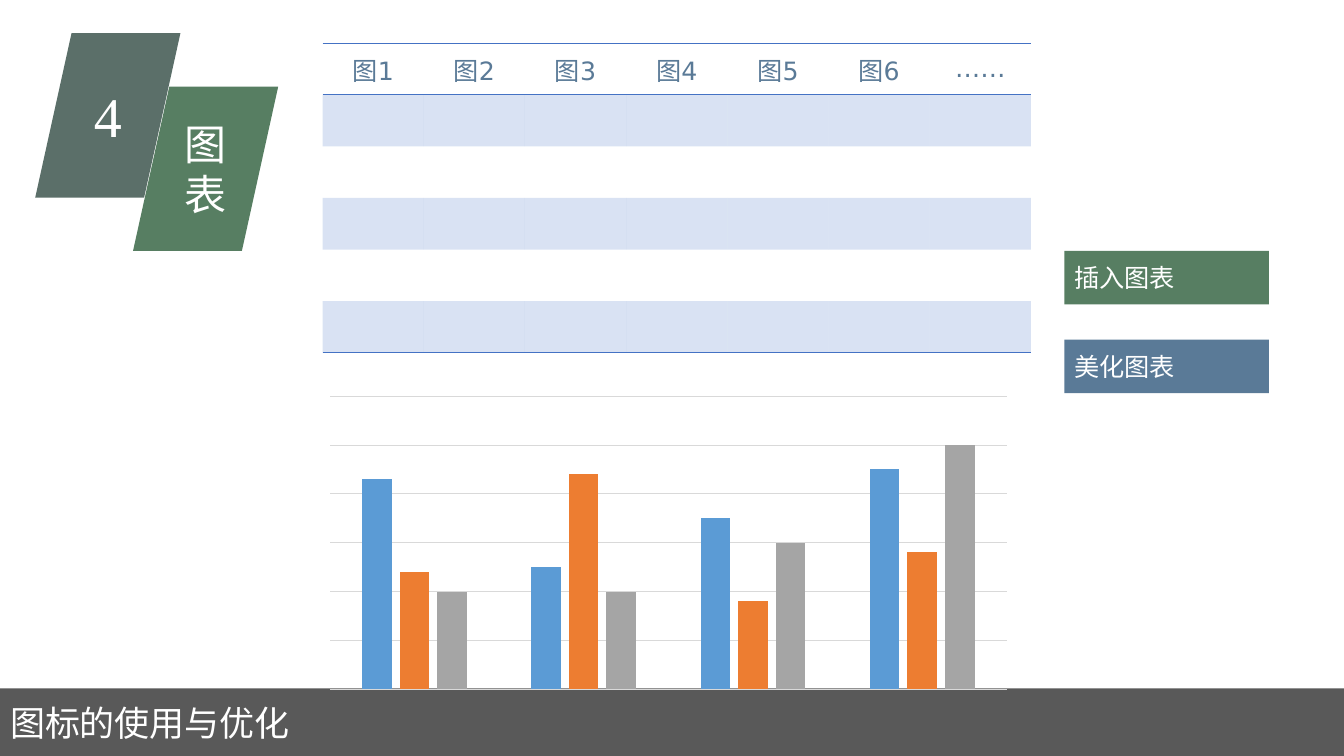
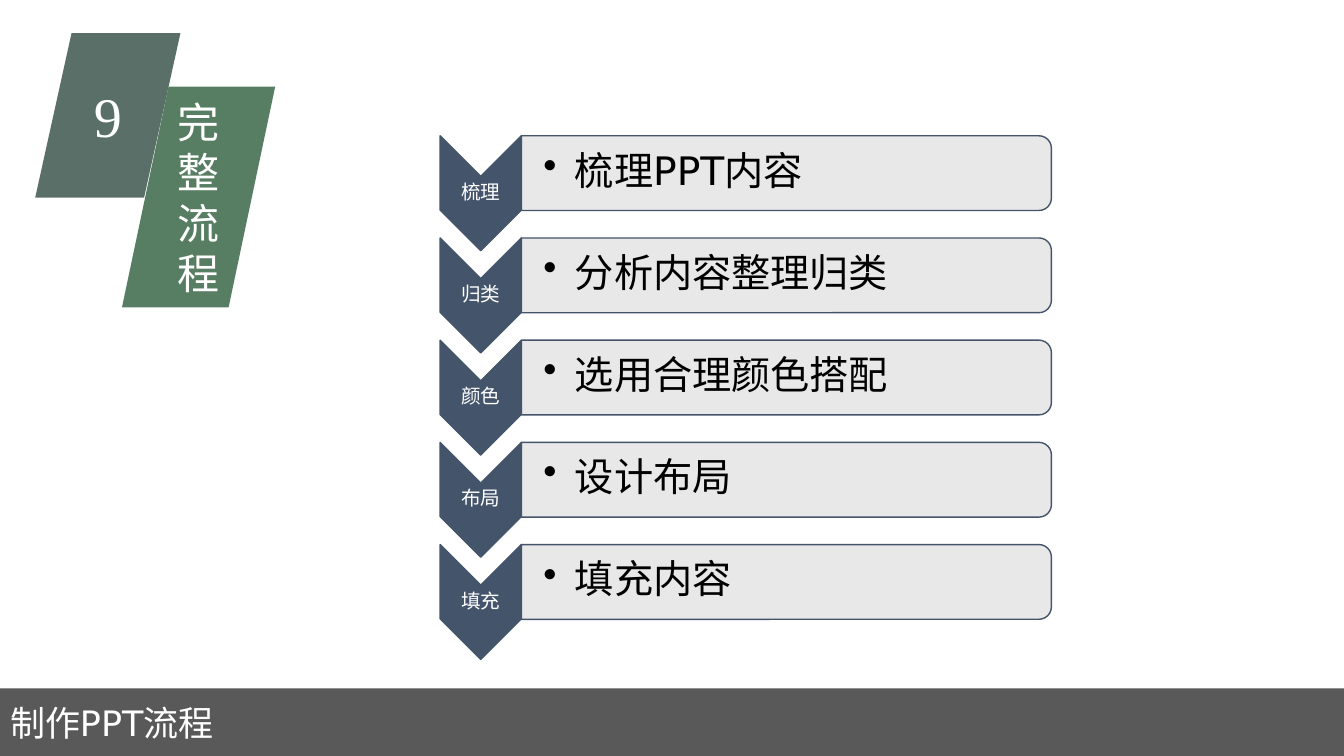
from dataclasses import dataclass
from typing import Any, NamedTuple

from lxml import etree
from pptx import Presentation
from pptx.chart.data import CategoryChartData
from pptx.dml.color import RGBColor
from pptx.enum.chart import XL_CHART_TYPE
from pptx.enum.shapes import MSO_SHAPE
from pptx.enum.text import MSO_ANCHOR, MSO_AUTO_SIZE, PP_ALIGN
from pptx.oxml import parse_xml
from pptx.oxml.ns import nsdecls, qn
from pptx.util import Pt

COLUMNS = XL_CHART_TYPE.COLUMN_CLUSTERED
PARALLELOGRAM = MSO_SHAPE.PARALLELOGRAM
RECTANGLE = MSO_SHAPE.RECTANGLE
CHEVRON = MSO_SHAPE.CHEVRON
ROUND_END = MSO_SHAPE.ROUND_2_SAME_RECTANGLE
MIDDLE = MSO_ANCHOR.MIDDLE
NO_FIT = MSO_AUTO_SIZE.NONE
LEFT, CENTER = PP_ALIGN.LEFT, PP_ALIGN.CENTER
TITLE_ONLY = 5
PLAIN_TABLE = "{2D5ABB26-0587-4C30-8999-92F81FD0307C}"


@dataclass(frozen=True)
class Theme:
    white: str = "FFFFFF"
    black: str = "000000"
    slate: str = "5B6F69"
    green: str = "577E62"
    blue: str = "5A7A97"
    band: str = "595959"
    navy: str = "44546A"
    panel: str = "E7E6E6"
    table: str = "4472C4"
    grid: str = "D9D9D9"
    series: tuple[str, ...] = ("5B9BD5", "ED7D31", "A5A5A5")
    sans: str = "DejaVu Sans"
    serif: str = "Times New Roman"
    number_size: float = 40
    section_size: float = 30
    step_size: float = 28
    title_size: float = 25
    body_size: float = 18
    label_size: float = 14
    chart_size: float = 10


class Box(NamedTuple):
    left: float
    top: float
    width: float
    height: float

    def lengths(self) -> list[Pt]:
        return [Pt(value) for value in self]

    def down(self, distance: float) -> "Box":
        return self._replace(top=self.top + distance)

    def before_quarter_turn(self) -> "Box":
        shift = (self.width - self.height) / 2
        return Box(self.left + shift, self.top - shift, self.height, self.width)


@dataclass(frozen=True)
class TextStyle:
    size: float
    color: str = "FFFFFF"
    font: str = "DejaVu Sans"
    align: Any = CENTER


@dataclass(frozen=True)
class Section:
    number: str
    name: str
    title: str
    name_box: Box
    slant: float


class Topic(NamedTuple):
    text: str
    color: str


class Step(NamedTuple):
    label: str
    action: str


THEME = Theme()
SLIDE_WIDTH, SLIDE_HEIGHT = 960, 540
BAND = Box(0, 491.76, SLIDE_WIDTH, 48.24)
NUMBER_BOX = Box(25.2, 23.76, 103.68, 117.36)

CHARTS = Section("4", "图表", "图标的使用与优化", Box(95.04, 61.92, 103.68, 117.36), 0.25)
PROCESS = Section("9", "完整流程", "制作PPT流程", Box(87.12, 61.92, 109.44, 157.68), 0.304)

TABLE_BOX = Box(230.4, 30.96, 506.16, 221.04)
TABLE_HEADS = ("图1", "图2", "图3", "图4", "图5", "图6", "……")
TABLE_ROWS = 6
CHART_BOX = Box(225.36, 278.64, 504, 218.16)
PLOT_SHARES = {"x": 0.02, "y": 0.02, "w": 0.96, "h": 0.96}
CHART_VALUES = ((86, 50, 70, 90), (48, 88, 36, 56), (40, 40, 60, 100))
TOPICS = (Topic("插入图表", THEME.green), Topic("美化图表", THEME.blue))
TOPIC_BOX = Box(760.32, 179.28, 146.16, 38.16)
TOPIC_PITCH = 63.36

STEPS = (
    Step("梳理", "梳理PPT内容"),
    Step("归类", "分析内容整理归类"),
    Step("颜色", "选用合理颜色搭配"),
    Step("布局", "设计布局"),
    Step("填充", "填充内容"),
)
STEP_PITCH = 73
ARROW_BOX = Box(314.4, 97, 58, 82)
PANEL_BOX = Box(372.4, 97, 378.6, 53.4)
LABEL_BOX = Box(314.4, 125.6, 58, 24.5)
ACTION_BOX = Box(372.4, 99, 376, 48.2)


def apply(target: Any, values: dict[str, Any]) -> None:
    for name, value in values.items():
        setattr(target, name, value)


def paint(target: Any, color: str, opacity: int = 100) -> None:
    target.fill.solid()
    target.fill.fore_color.rgb = RGBColor.from_string(color)
    if opacity < 100:
        tint = target.fill._xPr.find(qn("a:solidFill"))[0]
        etree.SubElement(tint, qn("a:alpha"), val=str(opacity * 1000))


def write(frame: Any, text: str, style: TextStyle) -> Any:
    paragraph = frame.paragraphs[0]
    paragraph.alignment = style.align
    run = paragraph.add_run()
    run.text = text
    apply(run.font, {"name": style.font, "size": Pt(style.size)})
    run.font.color.rgb = RGBColor.from_string(style.color)
    return paragraph


def add_block(slide: Any, kind: Any, box: Box, color: str,
              opacity: int = 100, outline: str | None = None) -> Any:
    block = slide.shapes.add_shape(kind, *box.lengths())
    block.shadow.inherit = False
    paint(block, color, opacity)
    if outline:
        block.line.color.rgb = RGBColor.from_string(outline)
        block.line.width = Pt(1)
    else:
        block.line.fill.background()
    apply(block.text_frame, {"word_wrap": True, "vertical_anchor": MIDDLE})
    return block


def add_caption(slide: Any, box: Box, text: str, style: TextStyle,
                margin: float, left_margin: float) -> Any:
    frame = slide.shapes.add_textbox(*box.lengths()).text_frame
    apply(frame, {
        "word_wrap": True,
        "vertical_anchor": MIDDLE,
        "margin_left": Pt(left_margin),
        "margin_top": Pt(margin),
        "margin_right": Pt(margin),
        "margin_bottom": Pt(margin),
    })
    paragraph = write(frame, text, style)
    paragraph.line_spacing = 0.9
    return paragraph


def add_section_slide(deck: Any, section: Section) -> Any:
    slide = deck.slides.add_slide(deck.slide_layouts[TITLE_ONLY])
    title = slide.shapes.title
    apply(title, dict(zip(BAND._fields, BAND.lengths())))
    paint(title, THEME.band)
    apply(title.text_frame, {
        "word_wrap": True, "auto_size": NO_FIT, "vertical_anchor": MIDDLE,
    })
    write(title.text_frame, section.title, TextStyle(THEME.title_size, align=LEFT))

    number = add_block(slide, PARALLELOGRAM, NUMBER_BOX, THEME.slate)
    write(number.text_frame, section.number,
          TextStyle(THEME.number_size, font=THEME.serif))
    name = add_block(slide, PARALLELOGRAM, section.name_box, THEME.green)
    name.adjustments[0] = section.slant
    write(name.text_frame, section.name, TextStyle(THEME.section_size))
    return slide


def add_rules(cell: Any, sides: tuple[str, ...]) -> None:
    for position, side in enumerate(sides):
        cell._tc.get_or_add_tcPr().insert(position, parse_xml(
            f'<a:ln{side} {nsdecls("a")} w="12700"><a:solidFill>'
            f'<a:srgbClr val="{THEME.table}"/></a:solidFill></a:ln{side}>'
        ))


def add_figure_table(slide: Any) -> None:
    table = slide.shapes.add_table(
        TABLE_ROWS, len(TABLE_HEADS), *TABLE_BOX.lengths()).table
    table._tbl.tblPr.find(qn("a:tableStyleId")).text = PLAIN_TABLE
    apply(table, {"first_row": False, "horz_banding": False})
    rules = {0: ("T", "B"), TABLE_ROWS - 1: ("B",)}
    for row in range(TABLE_ROWS):
        for column, head in enumerate(TABLE_HEADS):
            cell = table.cell(row, column)
            cell.vertical_anchor = MIDDLE
            if row % 2:
                paint(cell, THEME.table, 20)
            else:
                cell.fill.background()
            if row == 0:
                write(cell.text_frame, head, TextStyle(THEME.body_size, THEME.blue))
            add_rules(cell, rules.get(row, ()))


def add_figure_chart(slide: Any) -> None:
    data = CategoryChartData()
    data.categories = ("1", "2", "3", "4")
    for order, values in enumerate(CHART_VALUES, 1):
        data.add_series(f"Series {order}", values)
    chart = slide.shapes.add_chart(COLUMNS, *CHART_BOX.lengths(), data).chart
    apply(chart, {"has_legend": False, "has_title": False})
    apply(chart.font, {"name": THEME.sans, "size": Pt(THEME.chart_size)})
    chart.font.color.rgb = RGBColor.from_string(THEME.black)
    chart.category_axis.visible = False
    apply(chart.value_axis, {
        "visible": False, "has_major_gridlines": True,
        "minimum_scale": 0, "maximum_scale": 120, "major_unit": 20,
    })
    gridline = chart.value_axis.major_gridlines.format.line
    gridline.color.rgb = RGBColor.from_string(THEME.grid)
    gridline.width = Pt(0.75)
    plot = chart.plots[0]
    apply(plot, {"gap_width": 219, "overlap": -27, "vary_by_categories": False})
    for series, color in zip(plot.series, THEME.series):
        paint(series.format, color)

    shares = "".join(f'<c:{key} val="{share}"/>' for key, share in PLOT_SHARES.items())
    area = chart._chartSpace.chart.plotArea
    for layout in area.findall(qn("c:layout")):
        area.remove(layout)
    area.insert(0, parse_xml(
        f'<c:layout {nsdecls("c")}><c:manualLayout><c:layoutTarget val="inner"/>'
        f'<c:xMode val="edge"/><c:yMode val="edge"/>{shares}'
        '</c:manualLayout></c:layout>'
    ))


def add_step(slide: Any, step: Step, drop: float) -> None:
    for kind, box, color, opacity in (
        (CHEVRON, ARROW_BOX, THEME.navy, 100),
        (ROUND_END, PANEL_BOX, THEME.panel, 90),
    ):
        block = add_block(slide, kind, box.down(drop).before_quarter_turn(),
                          color, opacity, THEME.navy)
        block.rotation = 90
    add_caption(slide, LABEL_BOX.down(drop), step.label,
                TextStyle(THEME.label_size), 0.7, 0.7)
    action = add_caption(slide, ACTION_BOX.down(drop), step.action,
                         TextStyle(THEME.step_size, THEME.black, align=LEFT), 1.4, 15.8)
    properties = action._p.get_or_add_pPr()
    apply_indent = {"marL": Pt(22.5), "indent": -Pt(22.5)}
    for name, value in apply_indent.items():
        properties.set(name, str(value))
    etree.SubElement(properties, qn("a:buChar"), char="•")


def main() -> None:
    deck = Presentation()
    apply(deck, {"slide_width": Pt(SLIDE_WIDTH), "slide_height": Pt(SLIDE_HEIGHT)})

    charts = add_section_slide(deck, CHARTS)
    add_figure_table(charts)
    add_figure_chart(charts)
    for order, topic in enumerate(TOPICS):
        button = add_block(charts, RECTANGLE, TOPIC_BOX.down(order * TOPIC_PITCH), topic.color)
        write(button.text_frame, topic.text, TextStyle(THEME.body_size, align=LEFT))

    process = add_section_slide(deck, PROCESS)
    for order, step in enumerate(STEPS):
        add_step(process, step, order * STEP_PITCH)

    deck.save("out.pptx")


if __name__ == "__main__":
    main()
